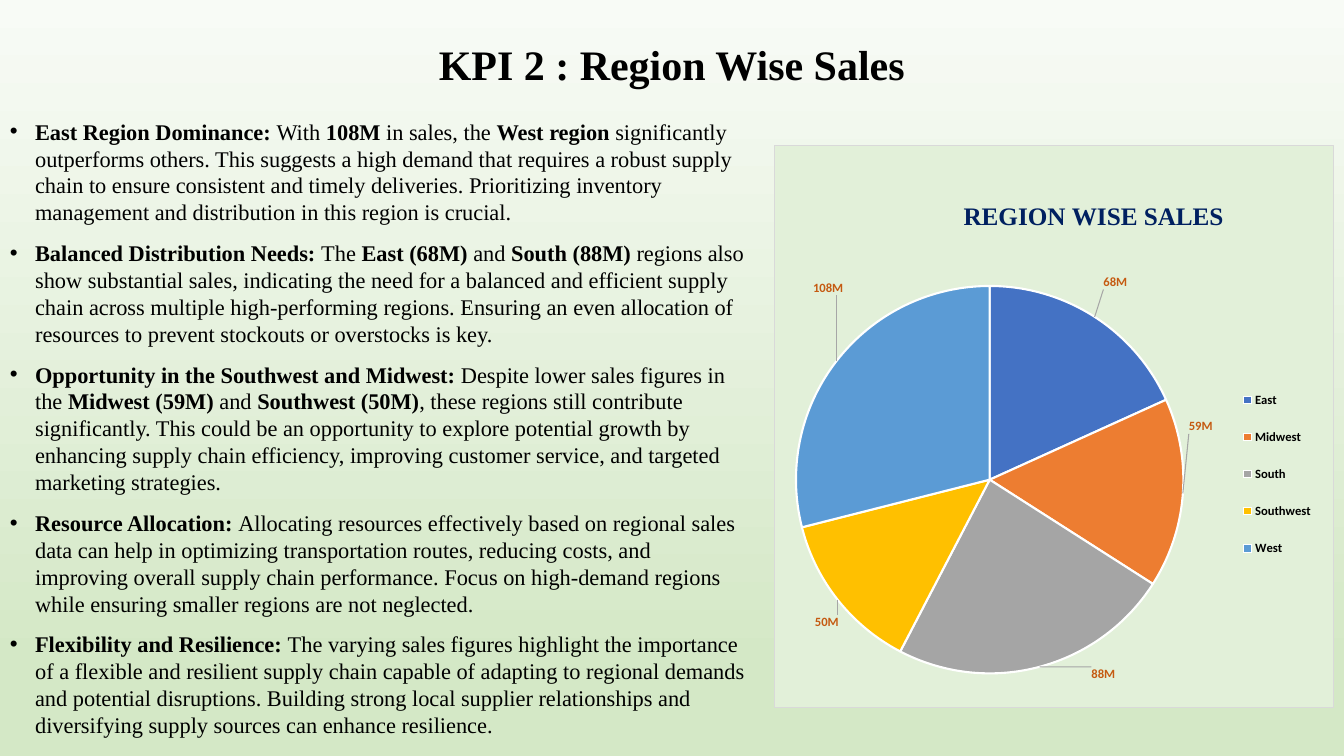
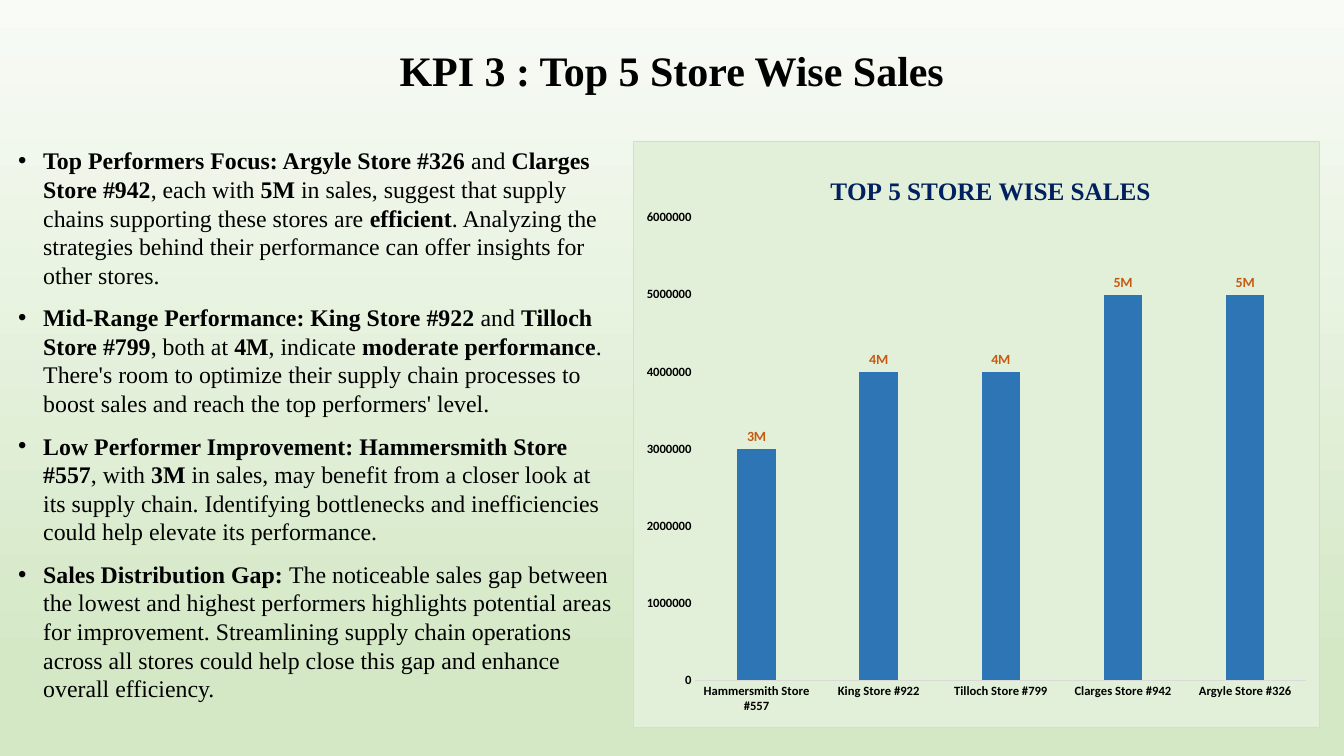
from copy import deepcopy
from dataclasses import dataclass

from lxml.etree import SubElement
from pptx import Presentation
from pptx.chart.data import CategoryChartData
from pptx.dml.color import RGBColor
from pptx.enum.chart import XL_CHART_TYPE, XL_LABEL_POSITION, XL_LEGEND_POSITION, XL_TICK_MARK
from pptx.enum.text import MSO_ANCHOR, PP_ALIGN
from pptx.oxml import parse_xml
from pptx.oxml.ns import nsdecls, qn
from pptx.util import Pt

COLORS = {
    "bg_top": "F8FBF6", "bg_bottom": "D4E8C6", "text": "000000",
    "panel": "E2F0D9", "border": "D9D9D9", "chart_title": "002060",
    "label": "C55A11", "bar": "2E75B6", "white": "FFFFFF", "leader": "A6A6A6",
    "East": "4472C4", "Midwest": "ED7D31", "South": "A5A5A5",
    "Southwest": "FFC000", "West": "5B9BD5",
}
SERIF, SANS = "Times New Roman", "Calibri"
MILLIONS = '#,##0,,"M"'
WIDTH, HEIGHT = 960, 540


@dataclass
class Box:
    x: float
    y: float
    w: float
    h: float

    def pts(self):
        return Pt(self.x), Pt(self.y), Pt(self.w), Pt(self.h)


@dataclass
class KpiSlide:
    title: str
    title_box: Box
    body_box: Box
    body_size: float
    bullets: list[str]
    chart_box: Box
    chart_title: str
    chart_title_at: tuple[float, float]
    plot_box: Box
    kind: XL_CHART_TYPE
    values: dict[str, int]
    label_size: float


def rgb(name: str) -> RGBColor:
    return RGBColor.from_string(COLORS[name])


def style(font, size: float, color: str = "text", bold: bool = True, name: str = SANS):
    font.size, font.bold, font.name = Pt(size), bold, name
    font.color.rgb = rgb(color)


def write(p, text: str, *, size: float, color: str = "text", bold: bool = False,
          align=None, spacing: float | None = None, before: float | None = None,
          bullet: bool = False):
    if align is not None:
        p.alignment = align
    if spacing is not None:
        p.line_spacing = spacing
    if before is not None:
        p.space_before = Pt(before)
    if bullet:
        pPr = p._p.get_or_add_pPr()
        pPr.set("marL", str(Pt(18)))
        pPr.set("indent", str(-Pt(18)))
        SubElement(pPr, qn("a:buFont"), typeface="Arial")
        SubElement(pPr, qn("a:buChar"), char="•")
    for i, part in enumerate(text.split("**")):
        if part:
            r = p.add_run()
            r.text = part
            style(r.font, size, color, bold or i % 2 == 1, SERIF)


def text_box(s, box: Box):
    tf = s.shapes.add_textbox(*box.pts()).text_frame
    tf.word_wrap = True
    return tf


def place(parent, index: int, x: float, y: float, w: float | None = None,
          h: float | None = None, edge: bool = True, inner: bool = False):
    for old in parent.findall(qn("c:layout")):
        parent.remove(old)
    parts = []
    if inner:
        parts.append(("layoutTarget", "inner"))
    if edge:
        parts += [("xMode", "edge"), ("yMode", "edge")]
    parts += [("x", x), ("y", y)]
    if w is not None:
        parts += [("w", w), ("h", h)]
    body = "".join(f'<c:{tag} val="{val}"/>' for tag, val in parts)
    parent.insert(index, parse_xml(
        f'<c:layout {nsdecls("c")}><c:manualLayout>{body}</c:manualLayout></c:layout>'))


def shape_props(line: str, fill: str | None = None):
    def solid(color: str) -> str:
        return f'<a:solidFill><a:srgbClr val="{COLORS[color]}"/></a:solidFill>'

    return parse_xml(
        f'<c:spPr {nsdecls("c", "a")}>{solid(fill) if fill else ""}'
        f'<a:ln w="{Pt(0.75)}">{solid(line)}</a:ln></c:spPr>')


def add_leader_lines(dLbls):
    for tag in ("c:showLeaderLines", "c:leaderLines"):
        for old in dLbls.findall(qn(tag)):
            dLbls.remove(old)
    SubElement(dLbls, qn("c:showLeaderLines"), val="1")
    SubElement(dLbls, qn("c:leaderLines")).append(shape_props("leader"))


def format_pie(chart, k: KpiSlide):
    offsets = [(0.01, -0.04), (0, -0.12), (0.09, -0.01), (0.01, 0.02), (0.02, -0.11)]
    ser = chart.plots[0].series[0]
    dLbls = ser.data_labels._element
    numFmt = dLbls.find(qn("c:numFmt"))
    for i, (name, (dx, dy)) in enumerate(zip(k.values, offsets)):
        pt = ser.points[i]
        pt.format.fill.solid()
        pt.format.fill.fore_color.rgb = rgb(name)
        pt.format.line.color.rgb = rgb("white")
        pt.format.line.width = Pt(1.5)
        label = pt.data_label
        style(label.font, k.label_size, "label")
        label.position = XL_LABEL_POSITION.OUTSIDE_END
        dLbl = dLbls.findall(qn("c:dLbl"))[i]
        place(dLbl, 1, dx, dy, edge=False)
        dLbl.insert(2, deepcopy(numFmt))
    add_leader_lines(dLbls)
    chart.has_legend = True
    legend = chart.legend
    legend.position = XL_LEGEND_POSITION.RIGHT
    legend.include_in_layout = False
    style(legend.font, 9)
    place(legend._element, 1, 0.83, 0.4, 0.14, 0.37)


def format_columns(chart):
    plot = chart.plots[0]
    plot.gap_width, plot.overlap = 219, -27
    fill = plot.series[0].format.fill
    fill.solid()
    fill.fore_color.rgb = rgb("bar")
    for axis in (chart.category_axis, chart.value_axis):
        axis.major_tick_mark = axis.minor_tick_mark = XL_TICK_MARK.NONE
        axis.has_major_gridlines = False
        style(axis.tick_labels.font, 9)
    line = chart.category_axis.format.line
    line.color.rgb, line.width = rgb("border"), Pt(0.75)
    values = chart.value_axis
    values.format.line.fill.background()
    values.minimum_scale, values.maximum_scale = 0, 6000000
    values.major_unit = 1000000


def add_sales_chart(s, k: KpiSlide):
    data = CategoryChartData()
    data.categories = list(k.values)
    data.add_series("Series 1", list(k.values.values()))
    chart = s.shapes.add_chart(k.kind, *k.chart_box.pts(), data).chart
    is_pie = k.kind == XL_CHART_TYPE.PIE
    style(chart.font, 10, bold=False)
    body = chart._chartSpace.find(qn("c:chart"))
    body.addnext(shape_props("border", "panel"))
    chart.has_legend = False
    chart.has_title = True
    title = chart.chart_title
    write(title.text_frame.paragraphs[0], k.chart_title, size=18,
          color="chart_title", bold=True)
    place(title._element, 1, *k.chart_title_at)
    b = k.plot_box
    place(body.find(qn("c:plotArea")), 0, b.x, b.y, b.w, b.h, inner=True)
    chart.plots[0].vary_by_categories = is_pie
    labels = chart.plots[0].series[0].data_labels
    labels.show_value = True
    labels.number_format, labels.number_format_is_linked = MILLIONS, False
    labels.position = XL_LABEL_POSITION.OUTSIDE_END
    style(labels.font, k.label_size, "label")
    if is_pie:
        format_pie(chart, k)
    else:
        format_columns(chart)


def add_kpi_slide(prs, k: KpiSlide):
    s = prs.slides.add_slide(prs.slide_layouts[6])
    tf = text_box(s, k.title_box)
    tf.vertical_anchor = MSO_ANCHOR.MIDDLE
    write(tf.paragraphs[0], k.title, size=30, bold=True,
          align=PP_ALIGN.CENTER, spacing=0.9)
    tf = text_box(s, k.body_box)
    for i, bullet in enumerate(k.bullets):
        p = tf.add_paragraph() if i else tf.paragraphs[0]
        write(p, bullet, size=k.body_size, spacing=1.0,
              before=10 if i else 0, bullet=True)
    add_sales_chart(s, k)


def set_background(master):
    fill = master.background.fill
    fill.gradient()
    fill.gradient_angle = 270
    for stop, position, color in zip(fill.gradient_stops, (0, 0.88), ("bg_top", "bg_bottom")):
        stop.position = position
        stop.color.rgb = rgb(color)


SLIDES = [
    KpiSlide(
        title="KPI 2 : Region Wise Sales",
        title_box=Box(0, 0, WIDTH, 95),
        body_box=Box(0, 80.6, 542, 459.4),
        body_size=16,
        bullets=[
            "**East Region Dominance: **With **108M** in sales, the **West region **significantly outperforms others. This suggests a high demand that requires a robust supply chain to ensure consistent and timely deliveries. Prioritizing inventory management and distribution in this region is crucial.",
            "**Balanced Distribution Needs: **The **East (68M) **and **South (88M) **regions also show substantial sales, indicating the need for a balanced and efficient supply chain across multiple high-performing regions. Ensuring an even allocation of resources to prevent stockouts or overstocks is key.",
            "**Opportunity in the Southwest and Midwest: **Despite lower sales figures in the **Midwest (59M) **and **Southwest (50M)**, these regions still contribute significantly. This could be an opportunity to explore potential growth by enhancing supply chain efficiency, improving customer service, and targeted marketing strategies.",
            "**Resource Allocation: **Allocating resources effectively based on regional sales data can help in optimizing transportation routes, reducing costs, and improving overall supply chain performance. Focus on high-demand regions while ensuring smaller regions are not neglected.",
            "**Flexibility and Resilience: **The varying sales figures highlight the importance of a flexible and resilient supply chain capable of adapting to regional demands and potential disruptions. Building strong local supplier relationships and diversifying supply sources can enhance resilience.",
        ],
        chart_box=Box(553, 103.7, 399.6, 401.8),
        chart_title="REGION WISE SALES",
        chart_title_at=(0.33, 0.09),
        plot_box=Box(0.01, 0.25, 0.75, 0.69),
        kind=XL_CHART_TYPE.PIE,
        values={"East": 68000000, "Midwest": 59000000, "South": 88000000,
                "Southwest": 50000000, "West": 108000000},
        label_size=9,
    ),
    KpiSlide(
        title="KPI 3 : Top 5 Store Wise Sales",
        title_box=Box(0, 20, WIDTH, 63.5),
        body_box=Box(5.8, 100.8, 439.2, 419),
        body_size=17,
        bullets=[
            "**Top Performers Focus: Argyle Store #326** and **Clarges Store #942**, each with **5M** in sales, suggest that supply chains supporting these stores are **efficient**. Analyzing the strategies behind their performance can offer insights for other stores.",
            "**Mid-Range Performance: King Store #922 **and **Tilloch Store #799**, both at **4M**, indicate **moderate performance**. There's room to optimize their supply chain processes to boost sales and reach the top performers' level.",
            "**Low Performer Improvement: Hammersmith Store #557**, with **3M **in sales, may benefit from a closer look at its supply chain. Identifying bottlenecks and inefficiencies could help elevate its performance.",
            "**Sales Distribution Gap: **The noticeable sales gap between the lowest and highest performers highlights potential areas for improvement. Streamlining supply chain operations across all stores could help close this gap and enhance overall efficiency.",
        ],
        chart_box=Box(452.2, 100.8, 491, 419),
        chart_title="TOP 5 STORE WISE SALES",
        chart_title_at=(0.28, 0.05),
        plot_box=Box(0.09, 0.13, 0.89, 0.79),
        kind=XL_CHART_TYPE.COLUMN_CLUSTERED,
        values={"Hammersmith Store #557": 3000000, "King Store #922": 4000000,
                "Tilloch Store #799": 4000000, "Clarges Store #942": 5000000,
                "Argyle Store #326": 5000000},
        label_size=10,
    ),
]


def main():
    prs = Presentation()
    prs.slide_width, prs.slide_height = Pt(WIDTH), Pt(HEIGHT)
    set_background(prs.slide_master)
    for k in SLIDES:
        add_kpi_slide(prs, k)
    prs.save("out.pptx")


if __name__ == "__main__":
    main()
